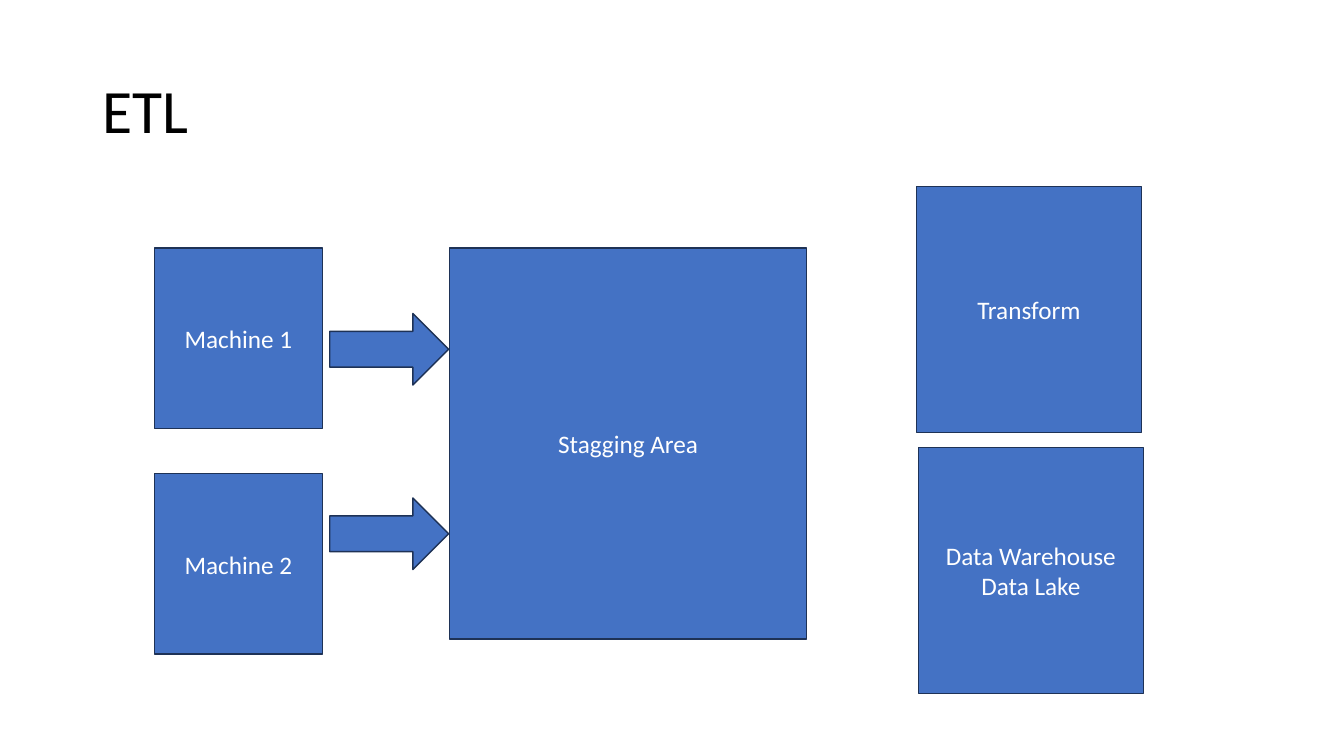
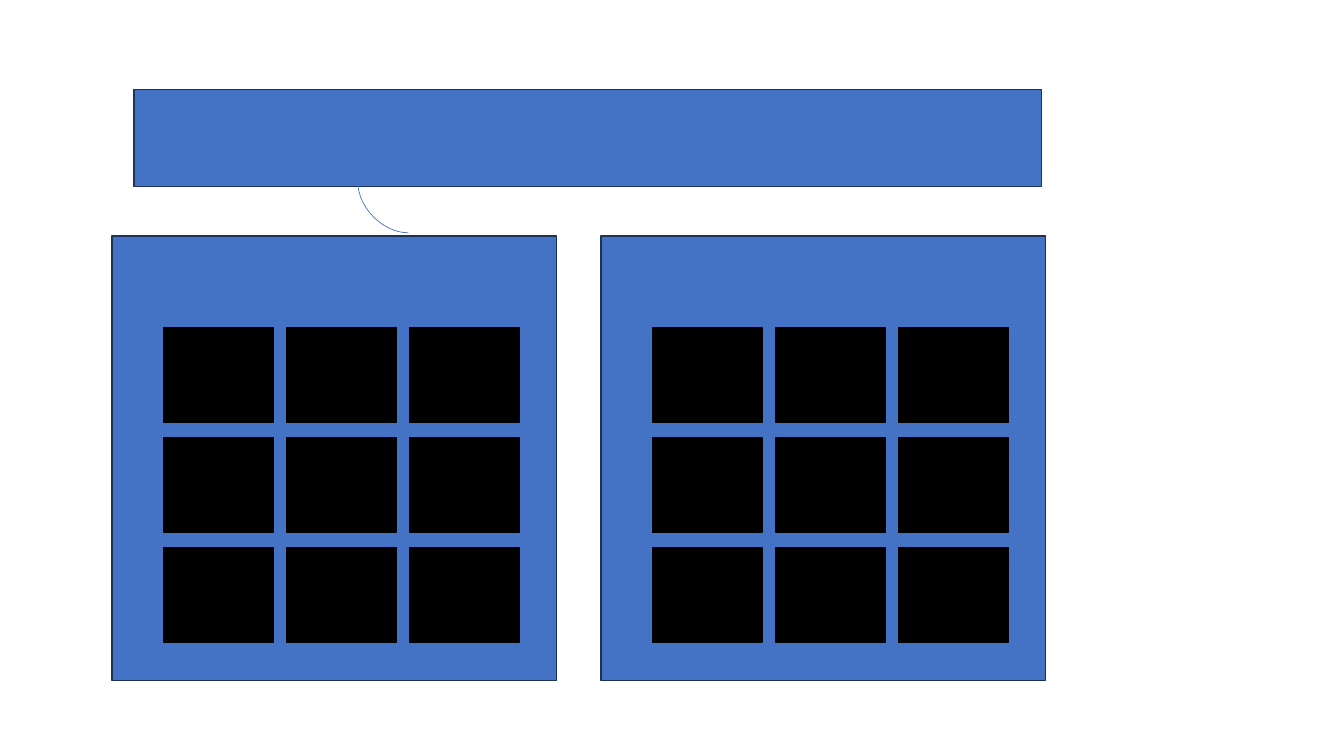
import pptx
import pptx.dml.color
import pptx.enum.shapes
import pptx.enum.text
import pptx.oxml
import pptx.util

RGBColor = pptx.dml.color.RGBColor
Inches = pptx.util.Inches
Pt = pptx.util.Pt
SHAPE = pptx.enum.shapes.MSO_SHAPE
ALIGN = pptx.enum.text.PP_ALIGN
ANCHOR = pptx.enum.text.MSO_ANCHOR

BLUE = RGBColor(0x44, 0x72, 0xC4)
NAVY = RGBColor(0x1E, 0x32, 0x56)
BLACK = RGBColor(0x00, 0x00, 0x00)
WHITE = RGBColor(0xFF, 0xFF, 0xFF)
FONT = "Calibri"
TITLE_ONLY, BLANK = 5, 6


class DiagramDeck:
    """Holds the shared style and the slide being drawn."""

    def __init__(self):
        self.deck = pptx.Presentation()
        self.deck.slide_width = Inches(13.33)
        self.deck.slide_height = Inches(7.5)
        self.slide = None

    def new_slide(self, layout):
        self.slide = self.deck.slides.add_slide(self.deck.slide_layouts[layout])

    def set_text(self, frame, text, size, color, align):
        frame.text = text
        frame.word_wrap = True
        frame.vertical_anchor = ANCHOR.MIDDLE
        for para in frame.paragraphs:
            para.alignment = align
            for span in para.runs:
                span.font.name = FONT
                span.font.size = Pt(size)
                span.font.color.rgb = color

    def title(self, text):
        title = self.slide.shapes.title
        title.left, title.top = Inches(0.92), Inches(0.4)
        title.width, title.height = Inches(11.5), Inches(1.45)
        self.set_text(title.text_frame, text, 44, BLACK, ALIGN.LEFT)
        title.text_frame.paragraphs[0].line_spacing = 0.9

    def box(self, left, top, width, height, text="", kind=SHAPE.RECTANGLE,
            fill=BLUE, line=NAVY):
        box = self.slide.shapes.add_shape(
            kind, Inches(left), Inches(top), Inches(width), Inches(height))
        box.shadow.inherit = False
        box.fill.solid()
        box.fill.fore_color.rgb = fill
        box.line.color.rgb = line
        box.line.width = Pt(1)
        if text:
            self.set_text(box.text_frame, text, 18, WHITE, ALIGN.CENTER)

    def arrow(self, left, top):
        self.box(left, top, 1.18, 0.71, kind=SHAPE.RIGHT_ARROW)

    def panel(self, left, top):
        """Blue square with a three by three grid of black cells."""
        self.box(left, top, 4.41, 4.41)
        for row in range(3):
            for column in range(3):
                self.box(left + 0.51 + 1.22 * column, top + 0.91 + 1.09 * row,
                         1.09, 0.94, fill=BLACK, line=BLACK)

    def curve(self, start_x, start_y, end_x, end_y):
        curve = self.slide.shapes.add_connector(
            pptx.enum.shapes.MSO_CONNECTOR.CURVE,
            Inches(start_x), Inches(start_y), Inches(end_x), Inches(end_y))
        curve.line.color.rgb = BLUE
        curve.line.width = Pt(0.5)
        properties = curve._element.spPr
        properties.append(pptx.oxml.parse_xml(
            '<a:effectLst xmlns:a='
            '"http://schemas.openxmlformats.org/drawingml/2006/main"/>'))


def main():
    diagram = DiagramDeck()

    # Slide 1: machines feed the staging area, then transform and storage
    diagram.new_slide(TITLE_ONLY)
    diagram.title("ETL")
    for name, top in (("Machine 1", 2.46), ("Machine 2", 4.7)):
        diagram.box(1.53, top, 1.67, 1.79, name)
    diagram.box(4.46, 2.46, 3.54, 3.88, "Stagging Area")
    for top in (3.11, 4.94):
        diagram.arrow(3.27, top)
    diagram.box(9.09, 1.85, 2.23, 2.44, "Transform")
    diagram.box(9.11, 4.44, 2.23, 2.44, "Data Warehouse\nData Lake")

    # Slide 2: a bar above two panels, joined by a curve
    diagram.new_slide(BLANK)
    for left in (1.11, 5.96):
        diagram.panel(left, 2.34)
    diagram.box(1.33, 0.89, 9, 0.96)
    diagram.curve(3.05, 1.31, 4.05, 2.31)

    diagram.deck.save("out.pptx")


if __name__ == "__main__":
    main()
